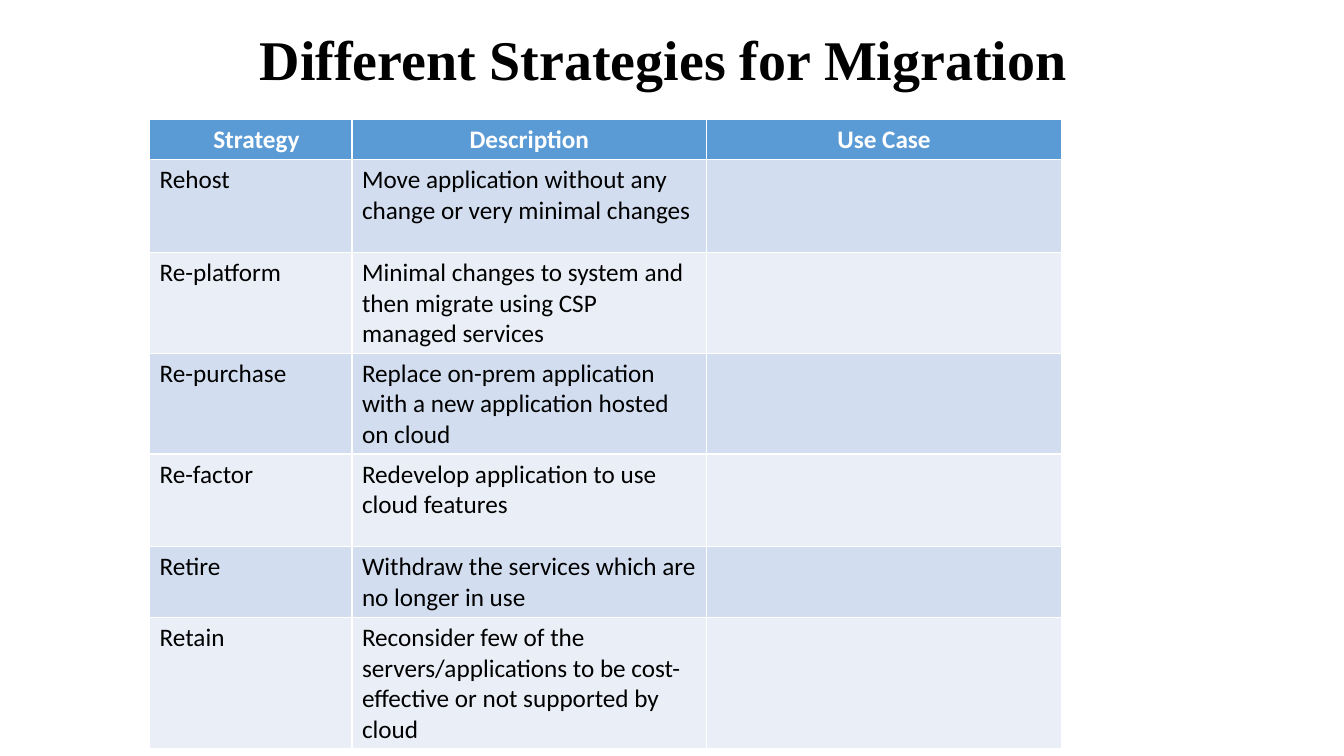
import pptx
import pptx.dml.color
import pptx.enum.text
import pptx.util

Cm = pptx.util.Cm
Pt = pptx.util.Pt
RGBColor = pptx.dml.color.RGBColor
CENTER = pptx.enum.text.PP_ALIGN.CENTER
LEFT = pptx.enum.text.PP_ALIGN.LEFT

BLACK = RGBColor(0x00, 0x00, 0x00)
WHITE = RGBColor(0xFF, 0xFF, 0xFF)
HEADER_BLUE = RGBColor(0x5B, 0x9B, 0xD5)
BAND_DARK = RGBColor(0xD2, 0xDE, 0xEF)
BAND_LIGHT = RGBColor(0xEA, 0xEF, 0xF7)

HEADERS = ("Strategy", "Description", "Use Case")
STRATEGIES = (
    ("Rehost", "Move application without any change or very minimal changes", ""),
    ("Re-platform", "Minimal changes to system and then migrate using CSP managed services", ""),
    ("Re-purchase", "Replace on-prem application with a new application hosted on cloud", ""),
    ("Re-factor", "Redevelop application to use cloud features", ""),
    ("Retire", "Withdraw the services which are no longer in use", ""),
    ("Retain", "Reconsider few of the servers/applications to be cost-effective "
               "or not supported by cloud", ""),
)
COLUMN_WIDTHS = (5.1, 8.94, 8.94)
ROW_HEIGHTS = (0.86, 2.34, 2.34, 2.34, 2.34, 1.65, 3.05)


def style_paragraph(p, name, size, color, bold, align):
    p.alignment = align
    p.font.name = name
    p.font.size = Pt(size)
    p.font.bold = bold
    p.font.color.rgb = color


def add_title(s, text):
    sp = s.shapes.add_textbox(Cm(2.11), Cm(0.69), Cm(29.21), Cm(12.09))
    tf = sp.text_frame
    tf.word_wrap = True
    p = tf.paragraphs[0]
    p.text = text
    p.line_spacing = 0.9
    p.space_before = Pt(10)
    style_paragraph(p, "Times New Roman", 40, BLACK, True, CENTER)


def fill_cell(cell, text, fill, color, bold, align):
    cell.text = text
    cell.fill.solid()
    cell.fill.fore_color.rgb = fill
    style_paragraph(cell.text_frame.paragraphs[0], "Calibri", 18, color, bold, align)


def add_strategy_table(s):
    rows = (HEADERS,) + STRATEGIES
    table = s.shapes.add_table(
        len(rows), len(HEADERS), Cm(3.77), Cm(3),
        Cm(sum(COLUMN_WIDTHS)), Cm(sum(ROW_HEIGHTS))).table
    for column, width in zip(table.columns, COLUMN_WIDTHS):
        column.width = Cm(width)
    for row, height in zip(table.rows, ROW_HEIGHTS):
        row.height = Cm(height)
    for i, texts in enumerate(rows):
        if i == 0:
            look = (HEADER_BLUE, WHITE, True, CENTER)
        else:
            look = (BAND_DARK if i % 2 else BAND_LIGHT, BLACK, False, LEFT)
        for j, text in enumerate(texts):
            fill_cell(table.cell(i, j), text, *look)
    table.cell(0, 0).margin_left = Cm(0.54)


def main():
    prs = pptx.Presentation()
    prs.slide_width = Cm(33.87)
    prs.slide_height = Cm(19.05)
    s = prs.slides.add_slide(prs.slide_layouts[6])
    add_title(s, "Different Strategies for Migration")
    add_strategy_table(s)
    prs.save("out.pptx")


if __name__ == "__main__":
    main()
